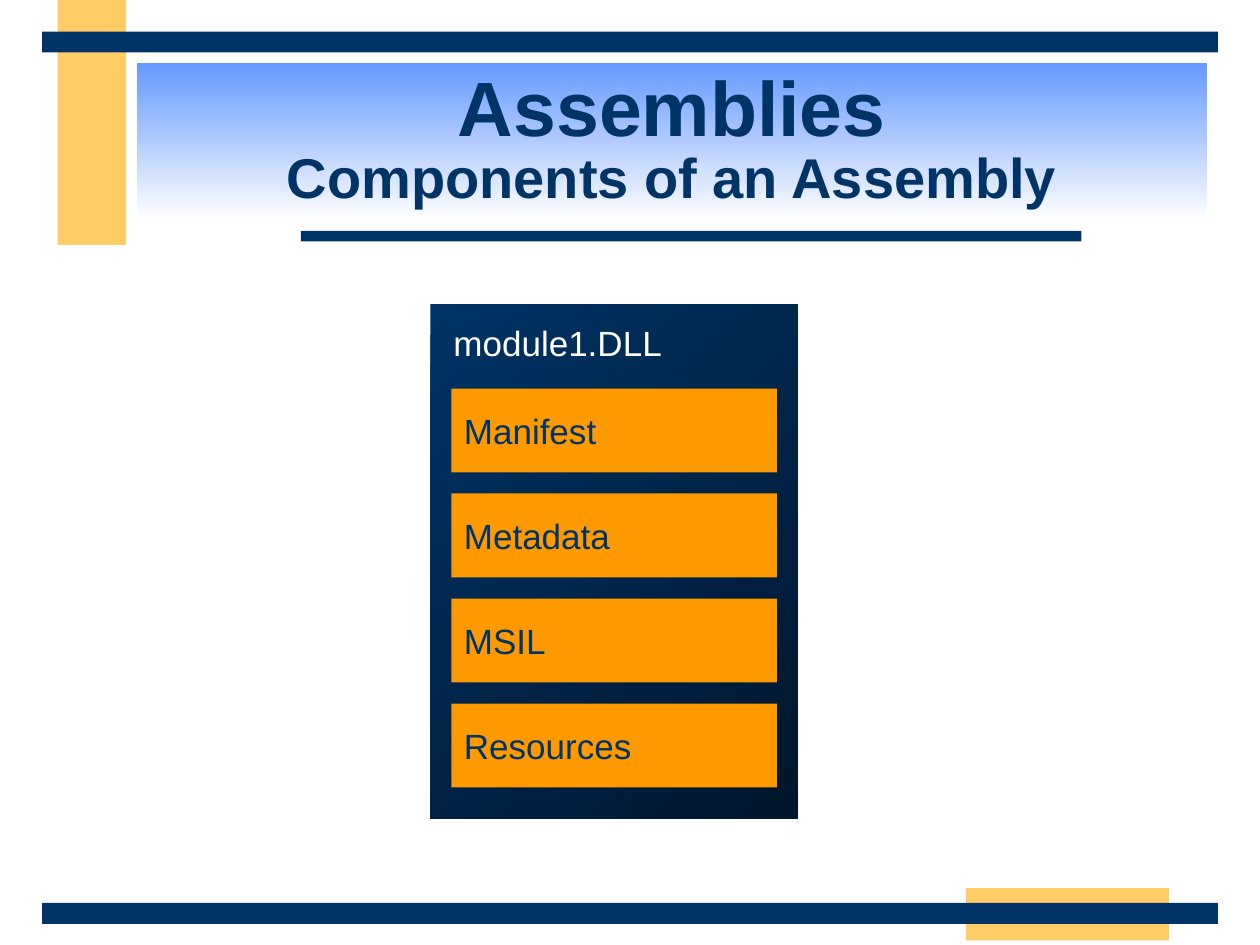
from pptx import Presentation
from pptx.dml.color import RGBColor
from pptx.enum.shapes import MSO_SHAPE
from pptx.enum.text import MSO_ANCHOR, MSO_AUTO_SIZE, PP_ALIGN
from pptx.util import Pt

NAVY, SAND, ORANGE, WHITE = "003366", "FFCC66", "FF9900", "FFFFFF"


def color(value):
    return RGBColor.from_string(value)


class SlideBuilder:
    font = "Arial"
    label_size = 20

    def __init__(self, page):
        self.page = page

    def gradient(self, shape, start, end, angle):
        shape.fill.gradient()
        # python-pptx measures gradient angles counter-clockwise
        shape.fill.gradient_angle = 360 - angle
        for stop, value in zip(shape.fill.gradient_stops, (start, end)):
            stop.color.rgb = color(value)

    def span(self, para, text, size, text_color, bold=False):
        span = para.add_run()
        span.text = text
        span.font.name = self.font
        span.font.size = Pt(size)
        span.font.bold = bold
        span.font.color.rgb = color(text_color)

    def rectangle(self, left, top, width, height, fill):
        box = self.page.shapes.add_shape(
            MSO_SHAPE.RECTANGLE, Pt(left), Pt(top), Pt(width), Pt(height))
        box.shadow.inherit = False
        box.line.fill.background()
        box.fill.solid()
        box.fill.fore_color.rgb = color(fill)
        return box

    def component(self, left, top, width, height, text):
        frame = self.rectangle(left, top, width, height, ORANGE).text_frame
        frame.word_wrap = False
        frame.vertical_anchor = MSO_ANCHOR.MIDDLE
        para = frame.paragraphs[0]
        para.alignment = PP_ALIGN.LEFT
        self.span(para, text, self.label_size, NAVY)

    def label(self, left, top, width, height, text):
        box = self.page.shapes.add_textbox(
            Pt(left), Pt(top), Pt(width), Pt(height))
        frame = box.text_frame
        frame.word_wrap = False
        frame.auto_size = MSO_AUTO_SIZE.SHAPE_TO_FIT_TEXT
        self.span(frame.paragraphs[0], text, self.label_size, WHITE)

    def title(self, left, top, width, height, heading, subheading):
        box = self.page.shapes.title
        box.left, box.top = Pt(left), Pt(top)
        box.width, box.height = Pt(width), Pt(height)
        self.gradient(box, "6699FF", WHITE, 90)
        frame = box.text_frame
        frame.word_wrap = True
        frame.auto_size = MSO_AUTO_SIZE.NONE
        frame.vertical_anchor = MSO_ANCHOR.MIDDLE
        para = frame.paragraphs[0]
        para.alignment = PP_ALIGN.CENTER
        para.line_spacing = 0.85
        self.span(para, heading, 44, NAVY, bold=True)
        para.add_line_break()
        self.span(para, subheading, 32, NAVY, bold=True)


def main():
    deck = Presentation()
    deck.slide_width, deck.slide_height = Pt(720), Pt(540)
    page = deck.slides.add_slide(deck.slide_layouts[5])
    builder = SlideBuilder(page)

    # Sand blocks behind the navy rules
    builder.rectangle(33, 0, 39, 140, SAND)
    builder.rectangle(552, 507.5, 116, 30, SAND)
    builder.rectangle(172, 132, 446, 6, NAVY)
    for top in (516, 18):
        builder.rectangle(24, top, 672, 12, NAVY)

    # Title band
    builder.title(78, 36, 612, 90, "Assemblies", "Components of an Assembly")

    # Module with its stacked components
    module = builder.rectangle(246, 174, 210, 294, NAVY)
    builder.gradient(module, NAVY, "00162C", 45)
    builder.label(252, 180, 135, 32, "module1.DLL")
    for row, name in enumerate(("Manifest", "Metadata", "MSIL", "Resources")):
        builder.component(258, 222 + 60 * row, 186, 48, name)

    deck.save("out.pptx")


if __name__ == "__main__":
    main()
